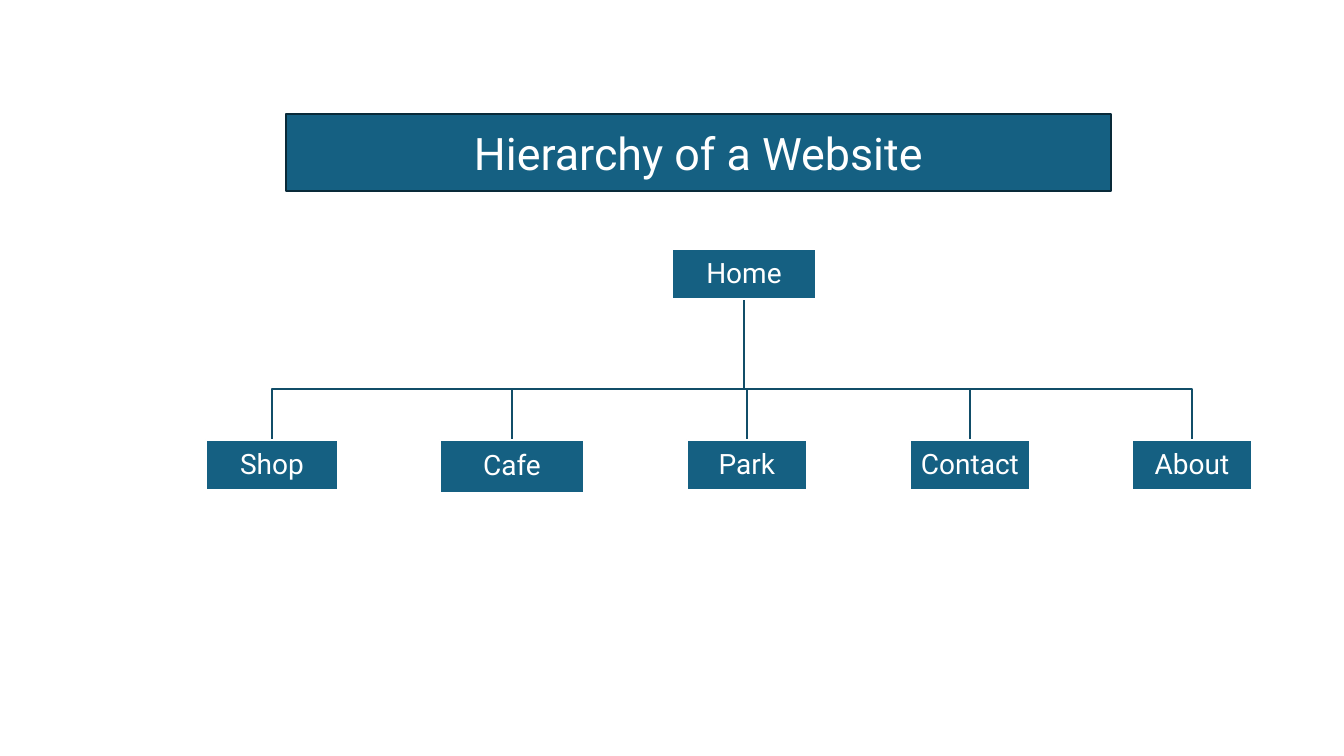
"""Build a slide showing the page hierarchy of a website."""
from pptx import Presentation
from pptx.dml.color import RGBColor
from pptx.enum.shapes import MSO_SHAPE
from pptx.enum.text import MSO_ANCHOR, PP_ALIGN
from pptx.util import Pt

PX = 914400 / 100.8
RECTANGLE = MSO_SHAPE.RECTANGLE
MIDDLE = MSO_ANCHOR.MIDDLE
CENTER = PP_ALIGN.CENTER
BLUE = RGBColor(0x15, 0x60, 0x82)
LINE_BLUE = RGBColor(0x11, 0x4D, 0x68)
DARK = RGBColor(0x09, 0x2A, 0x39)
WHITE = RGBColor(0xFF, 0xFF, 0xFF)


def px(length):
    return round(length * PX)


def add_box(slide, label, left, top, width, height, outline, size, spacing):
    shape = slide.shapes.add_shape(RECTANGLE, px(left), px(top), px(width), px(height))
    shape.shadow.inherit = False
    shape.fill.solid()
    shape.fill.fore_color.rgb = BLUE
    shape.line.color.rgb = outline
    shape.line.width = Pt(1.5)
    frame = shape.text_frame
    frame.word_wrap = True
    frame.vertical_anchor = MIDDLE
    frame.margin_left = frame.margin_right = px(1)
    frame.margin_top = frame.margin_bottom = px(1)
    paragraph = frame.paragraphs[0]
    paragraph.alignment = CENTER
    paragraph.line_spacing = spacing
    run = paragraph.add_run()
    run.text = label
    run.font.name = "Roboto"
    run.font.size = Pt(size)
    run.font.color.rgb = WHITE


presentation = Presentation()
presentation.slide_width = px(1344)
presentation.slide_height = px(756)
slide = presentation.slides.add_slide(presentation.slide_layouts[6])

HOME_LEFT, HOME_TOP, HOME_WIDTH, BOX_HEIGHT = 672, 249, 144, 50
PAGE_TOP, BRANCH_Y = 440, 389
pages = [
    ("Shop", 206, 132, BOX_HEIGHT),
    ("Cafe", 440, 144, 53),
    ("Park", 687, 120, BOX_HEIGHT),
    ("Contact", 910, 120, BOX_HEIGHT),
    ("About", 1132, 120, BOX_HEIGHT),
]

home_x = HOME_LEFT + HOME_WIDTH // 2
home_bottom = HOME_TOP + BOX_HEIGHT
for label, left, width, height in reversed(pages):
    page_x = left + width // 2
    builder = slide.shapes.build_freeform(home_x, home_bottom, scale=PX)
    builder.add_line_segments(
        [(home_x, BRANCH_Y), (page_x, BRANCH_Y), (page_x, PAGE_TOP)], close=False
    )
    branch = builder.convert_to_shape()
    branch.shadow.inherit = False
    branch.fill.background()
    branch.line.color.rgb = LINE_BLUE
    branch.line.width = Pt(1.5)

add_box(slide, "Home", HOME_LEFT, HOME_TOP, HOME_WIDTH, BOX_HEIGHT, WHITE, 20, 0.9)
for label, left, width, height in pages:
    add_box(slide, label, left, PAGE_TOP, width, height, WHITE, 20, 0.9)
add_box(slide, "Hierarchy of a Website", 286, 114, 825, 77, DARK, 32, 1.0)

presentation.save("out.pptx")
